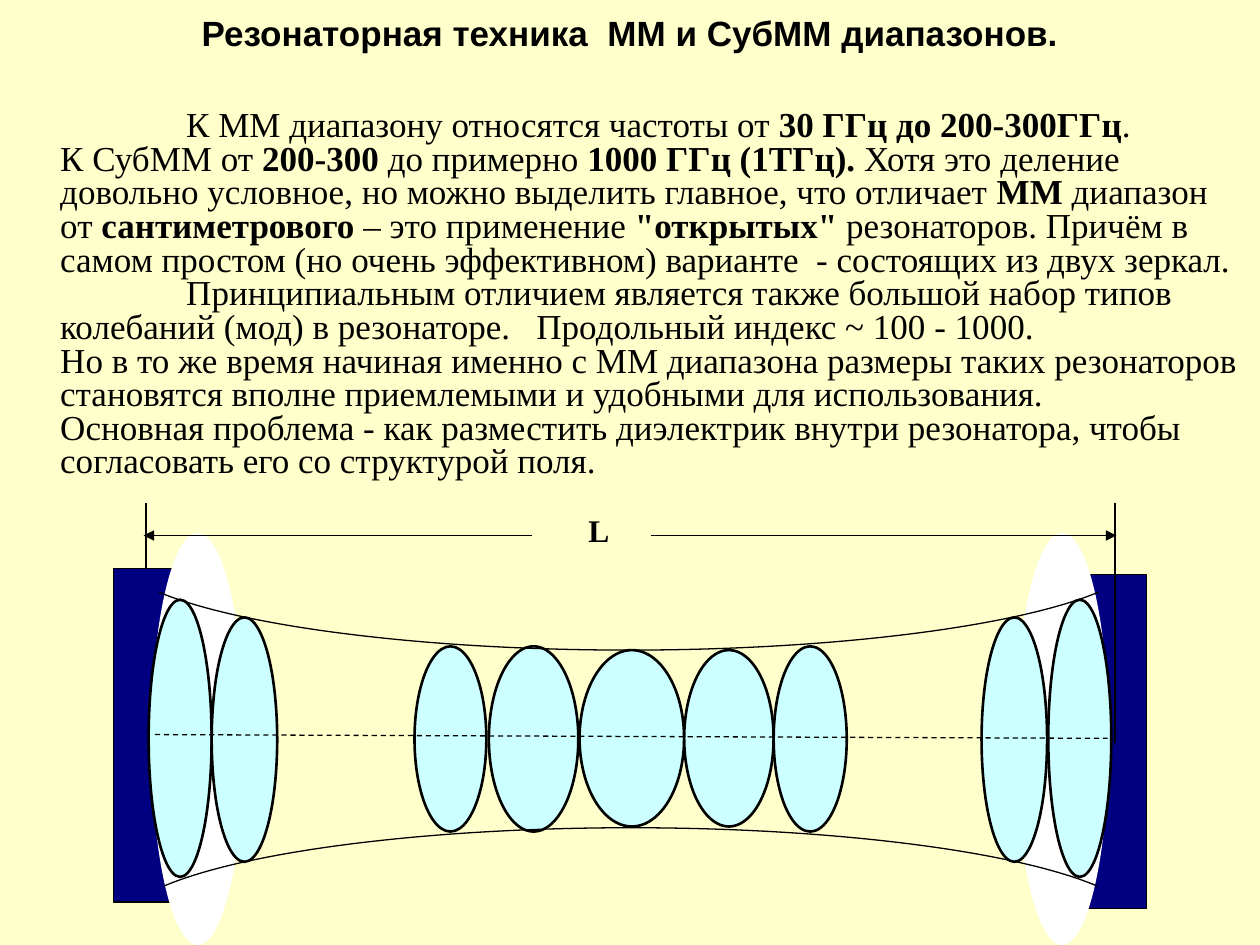
from lxml import etree
from pptx import Presentation
from pptx.dml.color import RGBColor
from pptx.enum.dml import MSO_LINE_DASH_STYLE as DASH
from pptx.enum.shapes import MSO_CONNECTOR, MSO_SHAPE as SHAPE
from pptx.enum.text import MSO_ANCHOR, PP_ALIGN as ALIGN
from pptx.oxml.ns import qn
from pptx.util import Inches, Pt

BLACK, CREAM, WHITE = "000000", "FFFFCC", "FFFFFF"
NAVY, AQUA = "000080", "CCFFFF"

TITLE = "Резонаторная техника  ММ и СубММ диапазонов."
BODY = [
    (1, "К ММ диапазону относятся частоты от **30 ГГц до 200-300ГГц**."),
    (0, "К СубММ от **200-300 **до примерно **1000 ГГц (1ТГц).** Хотя это деление "
        "довольно условное, но можно выделить главное, что отличает **ММ **диапазон "
        "от **сантиметрового** – это применение **\"открытых\"** резонаторов. Причём в "
        "самом простом (но очень эффективном) варианте  - состоящих из двух зеркал."),
    (1, "Принципиальным отличием является также большой набор типов колебаний (мод) "
        "в резонаторе.   Продольный индекс ~ 100 - 1000."),
    (0, "Но в то же время начиная именно с ММ диапазона размеры таких резонаторов "
        "становятся вполне приемлемыми и удобными для использования."),
    (0, "Основная проблема - как разместить диэлектрик внутри резонатора, чтобы "
        "согласовать его со структурой поля."),
]

MIRRORS = [
    (0.9, 4.51, 1.2, 1.18),
    (8.45, 4.56, 8.06, 8.32),
]
CENTRAL_LOBES = [
    (3.29, 5.13, 0.57, 1.47),
    (3.88, 5.13, 0.71, 1.47),
    (4.6, 5.16, 0.83, 1.4),
    (5.43, 5.16, 0.71, 1.4),
    (6.14, 5.13, 0.58, 1.47),
]
BEAM_EDGES = [
    (0.92, 6.57, 8.17, 185.2, 354.8),
    (0.87, 3.56, 8.24, 5.2, 174.8),
]


def color(value):
    return RGBColor.from_string(value)


class SlideBuilder:
    def __init__(self, slide):
        self.slide = slide
        slide.background.fill.solid()
        slide.background.fill.fore_color.rgb = color(CREAM)

    def style_font(self, font, size, name="Times New Roman", bold=False):
        font.name, font.size, font.bold = name, Pt(size), bold
        font.color.rgb = color(BLACK)

    def title(self, text, left, top, width, height):
        shape = self.slide.shapes.title
        shape.left, shape.top = Inches(left), Inches(top)
        shape.width, shape.height = Inches(width), Inches(height)
        frame = shape.text_frame
        frame.text = text
        frame.vertical_anchor = MSO_ANCHOR.MIDDLE
        paragraph = frame.paragraphs[0]
        paragraph.alignment = ALIGN.CENTER
        self.style_font(paragraph.runs[0].font, 20, "Arial", True)

    def body(self, paragraphs, left, top, width, height):
        box = self.slide.shapes.add_textbox(
            Inches(left), Inches(top), Inches(width), Inches(height))
        frame = box.text_frame
        frame.word_wrap = True
        for index, (indent, text) in enumerate(paragraphs):
            paragraph = frame.add_paragraph() if index else frame.paragraphs[0]
            paragraph.line_spacing = 0.8
            properties = paragraph._p.get_or_add_pPr()
            properties.set("marL", str(Inches(0.38)))
            properties.set("indent", str(Inches(indent)))
            for position, part in enumerate(text.split("**")):
                if part:
                    run = paragraph.add_run()
                    run.text = part
                    self.style_font(run.font, 20, bold=position % 2 == 1)

    def shape(self, kind, left, top, width, height, fill=None, line=None):
        shape = self.slide.shapes.add_shape(
            kind, Inches(left), Inches(top), Inches(width), Inches(height))
        shape.shadow.inherit = False
        if fill:
            shape.fill.solid()
            shape.fill.fore_color.rgb = color(fill)
        else:
            shape.fill.background()
        if line:
            shape.line.color.rgb = color(BLACK)
            shape.line.width = Pt(line)
        else:
            shape.line.fill.background()
        return shape

    def lobe(self, left, top, width, height):
        self.shape(SHAPE.OVAL, left, top, width, height, AQUA, 1.5)

    def arc(self, left, top, width, height, start, end):
        shape = self.shape(SHAPE.ARC, left, top, width, height, line=0.75)
        for index, degrees in enumerate((start, end)):
            shape.adjustments[index] = degrees * 0.6

    def label(self, text, left, top, width, height):
        frame = self.shape(SHAPE.RECTANGLE, left, top, width, height, CREAM).text_frame
        frame.margin_left = Inches(0.06)
        frame.margin_right = frame.margin_top = frame.margin_bottom = 0
        frame.vertical_anchor = MSO_ANCHOR.TOP
        frame.text = text
        paragraph = frame.paragraphs[0]
        paragraph.alignment = ALIGN.LEFT
        self.style_font(paragraph.runs[0].font, 18, bold=True)

    def line(self, x1, y1, x2, y2, dash=None, arrow=False):
        connector = self.slide.shapes.add_connector(
            MSO_CONNECTOR.STRAIGHT, Inches(x1), Inches(y1), Inches(x2), Inches(y2))
        connector.line.color.rgb = color(BLACK)
        connector.line.width = Pt(0.75)
        if dash:
            connector.line.dash_style = dash
        if arrow:
            tail = etree.SubElement(connector.line._get_or_add_ln(), qn("a:tailEnd"))
            tail.set("type", "triangle")
        etree.SubElement(connector._element.spPr, qn("a:effectLst"))


def main():
    presentation = Presentation()
    presentation.slide_width, presentation.slide_height = Inches(10), Inches(7.5)
    builder = SlideBuilder(presentation.slides.add_slide(presentation.slide_layouts[5]))

    builder.title(TITLE, 0.5, 0, 9, 0.52)
    builder.body(BODY, 0, 0.83, 10, 3.05)

    builder.label("L", 4.61, 4.06, 0.31, 0.36)
    builder.line(1.16, 3.99, 1.16, 5.83)
    for lobe in CENTRAL_LOBES:
        builder.lobe(*lobe)
    for block_left, block_top, surface_left, lobe_left in MIRRORS:
        builder.shape(SHAPE.RECTANGLE, block_left, block_top, 0.65, 2.65, NAVY, 0.75)
        builder.shape(SHAPE.OVAL, surface_left, 4.23, 0.74, 3.27, WHITE)
        builder.lobe(lobe_left, 4.76, 0.5, 2.2)
    for left, top, width, start, end in BEAM_EDGES:
        builder.arc(left, top, width, 1.6, start, end)
    for left in (1.68, 7.79):
        builder.lobe(left, 4.9, 0.52, 1.94)

    builder.line(1.23, 5.83, 8.79, 5.86, dash=DASH.DASH)
    builder.line(8.85, 3.99, 8.85, 5.9)
    builder.line(5.17, 4.25, 8.86, 4.25, arrow=True)
    builder.line(4.22, 4.25, 1.14, 4.25, arrow=True)

    presentation.save("out.pptx")


if __name__ == "__main__":
    main()
